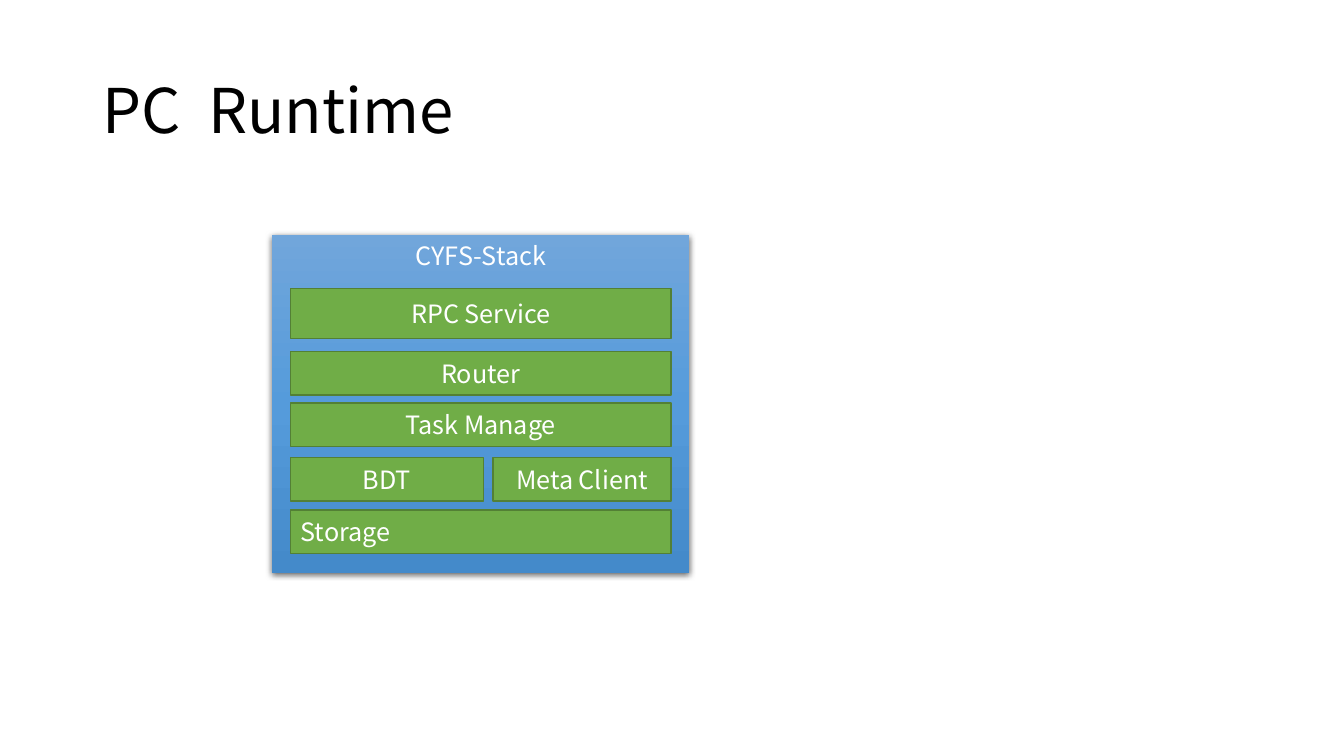
from copy import deepcopy

from lxml import etree
from pptx import Presentation
from pptx.dml.color import RGBColor
from pptx.enum.shapes import MSO_SHAPE as SHAPE
from pptx.enum.text import MSO_ANCHOR as ANCHOR, PP_ALIGN as ALIGN
from pptx.oxml.ns import qn
from pptx.util import Pt

FONT = "Noto Sans CJK SC"
WHITE, BLACK, GREEN, DARK_GREEN = "FFFFFF", "000000", "70AD47", "538035"
PANEL_GRADIENT = ("71A6DB", "559BDB", "448ACA")

# Each layer: top within the panel, height, cells as (label, share of width, alignment)
LAYERS = [
    (38.2, 36, [("RPC Service", 1, ALIGN.CENTER)]),
    (83.5, 31, [("Router", 1, ALIGN.CENTER)]),
    (120.2, 31, [("Task Manage", 1, ALIGN.CENTER)]),
    (159.1, 31, [("BDT", 0.52, ALIGN.CENTER), ("Meta Client", 0.48, ALIGN.CENTER)]),
    (196.6, 31, [("Storage", 1, ALIGN.LEFT)]),
]


def rgb(value):
    return RGBColor.from_string(value)


def write(sp, text, size=18, color=WHITE, align=ALIGN.CENTER,
          anchor=ANCHOR.MIDDLE, spacing=None):
    tf = sp.text_frame
    tf.word_wrap = True
    tf.vertical_anchor = anchor
    p = tf.paragraphs[0]
    p.alignment = align
    p.line_spacing = spacing
    r = p.add_run()
    r.text = text
    r.font.name, r.font.size = FONT, Pt(size)
    r.font.color.rgb = rgb(color)


def add_rect(s, x, y, w, h):
    sp = s.shapes.add_shape(SHAPE.RECTANGLE, Pt(x), Pt(y), Pt(w), Pt(h))
    sp.shadow.inherit = False
    return sp


def add_title(s, x, y, w, h):
    sp = s.shapes.title
    sp.left, sp.top, sp.width, sp.height = Pt(x), Pt(y), Pt(w), Pt(h)
    write(sp, "PC  Runtime", size=44, color=BLACK, align=ALIGN.LEFT, spacing=0.9)


def fill_gradient(sp, colors):
    """Top-to-bottom gradient with evenly spaced stops."""
    sp.fill.gradient()
    sp.fill.gradient_angle = 270
    stop_list = sp._element.spPr.find(".//" + qn("a:gsLst"))
    while len(stop_list) < len(colors):
        stop_list.append(deepcopy(stop_list[0]))
    for i, (stop, color) in enumerate(zip(sp.fill.gradient_stops, colors)):
        stop.position = i / (len(colors) - 1)
        stop.color.rgb = rgb(color)


def add_shadow(sp, color, alpha, blur, dist):
    effects = sp._element.spPr.find(qn("a:effectLst"))
    shadow = etree.SubElement(effects, qn("a:outerShdw"), blurRad=str(Pt(blur)),
                              dist=str(Pt(dist)), dir="5400000",
                              algn="ctr", rotWithShape="0")
    clr = etree.SubElement(shadow, qn("a:srgbClr"), val=color)
    etree.SubElement(clr, qn("a:alpha"), val=str(alpha * 1000))


def add_stack(s, x, y, w, h, margin=13.2, gap=7):
    # Panel
    panel = add_rect(s, x, y, w, h)
    fill_gradient(panel, PANEL_GRADIENT)
    panel.line.fill.background()
    add_shadow(panel, BLACK, alpha=63, blur=4.5, dist=1.5)
    write(panel, "CYFS-Stack", anchor=ANCHOR.TOP)

    # Layers
    for top, height, cells in LAYERS:
        left = x + margin
        room = w - 2 * margin - gap * (len(cells) - 1)
        for label, share, align in cells:
            sp = add_rect(s, left, y + top, room * share, height)
            sp.fill.solid()
            sp.fill.fore_color.rgb = rgb(GREEN)
            sp.line.color.rgb = rgb(DARK_GREEN)
            sp.line.width = Pt(1)
            write(sp, label, align=align)
            left += room * share + gap


def main():
    prs = Presentation()
    prs.slide_width, prs.slide_height = Pt(960), Pt(540)
    s = prs.slides.add_slide(prs.slide_layouts[5])
    add_title(s, 66, 28.75, 828, 104.4)
    add_stack(s, 194.4, 167.8, 298, 241.2)
    prs.save("out.pptx")


if __name__ == "__main__":
    main()
